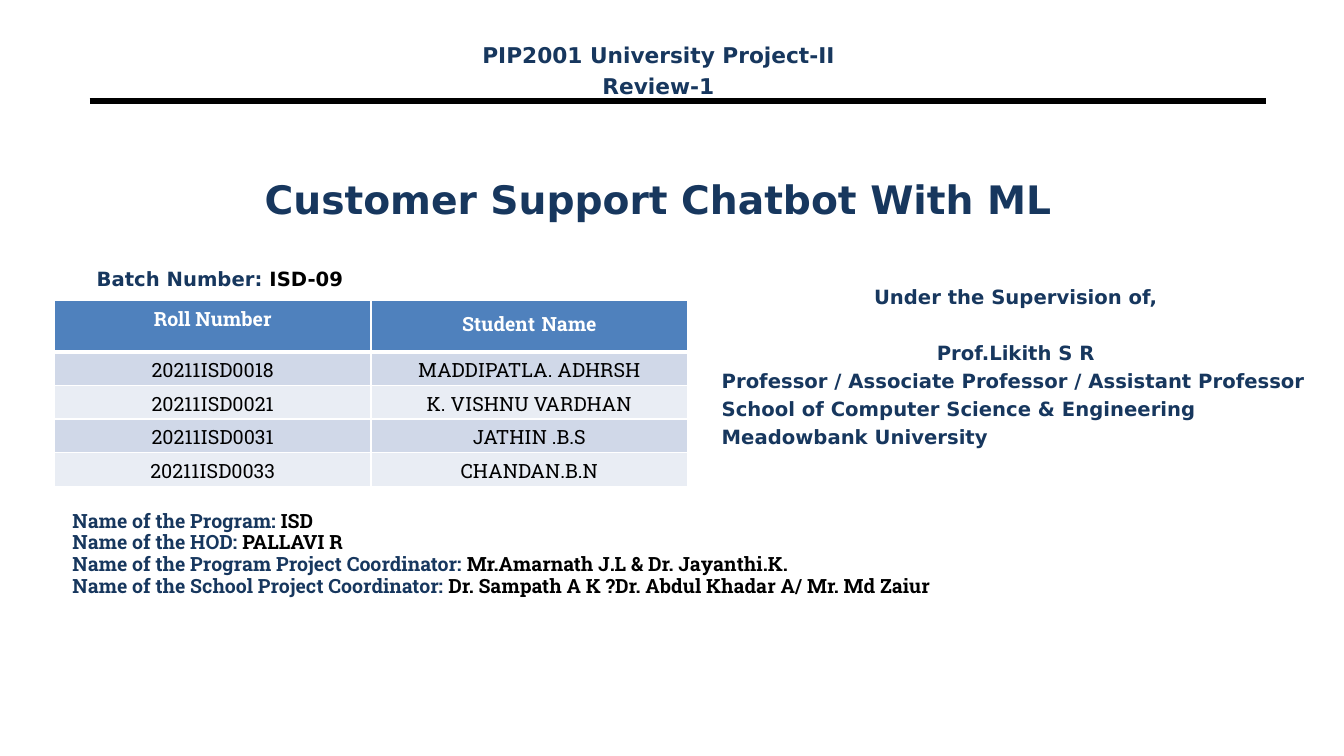
"""Build the opening slide of a university project review."""
from dataclasses import dataclass
from typing import Any

from lxml.etree import SubElement
from pptx import Presentation
from pptx.dml.color import RGBColor
from pptx.enum.shapes import MSO_CONNECTOR
from pptx.enum.text import MSO_ANCHOR, PP_ALIGN
from pptx.oxml import parse_xml
from pptx.oxml.ns import nsdecls, qn
from pptx.util import Inches, Pt


@dataclass(frozen=True)
class Theme:
    """Hold the colours, fonts and type sizes of the slide."""
    navy: str = "17375E"
    black: str = "000000"
    white: str = "FFFFFF"
    header_fill: str = "4F81BD"
    band_fills: tuple[str, str] = ("D0D8E8", "E9EDF4")
    sans: str = "DejaVu Sans"
    slab: str = "Roboto Slab"
    title_size: float = 28
    heading_size: float = 15.5
    body_size: float = 14
    header_gap_size: float = 18
    paragraph_gap: float = 3.3
    blank_line_gap: float = 22.9


THEME = Theme()


@dataclass(frozen=True)
class Span:
    """Describe one run of text."""
    text: str
    color: str = THEME.navy
    size: float = THEME.body_size
    font: str = THEME.sans
    bold: bool = True


@dataclass(frozen=True)
class Para:
    """Describe one paragraph."""
    spans: tuple[Span, ...]
    alignment: PP_ALIGN = PP_ALIGN.LEFT
    gap: float = 0
    line_spacing: float = 1.0


@dataclass(frozen=True)
class TextBlock:
    """Describe one text box, with lengths in inches."""
    left: float
    top: float
    width: float
    height: float
    paras: tuple[Para, ...]
    anchor: MSO_ANCHOR = MSO_ANCHOR.TOP


def labelled(label: str, value: str, font: str, line_spacing: float = 1.0) -> Para:
    """Return a paragraph with a navy label and a black value."""
    spans = (Span(label, font=font), Span(value, THEME.black, font=font))
    return Para(spans, line_spacing=line_spacing)


CENTER = PP_ALIGN.CENTER
GAP = THEME.paragraph_gap
PEOPLE = (
    ("Name of the Program: ", "ISD"),
    ("Name of the HOD: ", "PALLAVI R"),
    ("Name of the Program Project Coordinator: ", "Mr.Amarnath J.L & Dr. Jayanthi.K."),
    ("Name of the School Project Coordinator: ",
     "Dr. Sampath A K ?Dr. Abdul Khadar A/ Mr. Md Zaiur"),
)
BLOCKS = (
    TextBlock(0.86, 1.17, 11.33, 1.61, (
        Para((Span("Customer Support Chatbot With ML", size=THEME.title_size),), CENTER),
    ), MSO_ANCHOR.MIDDLE),
    TextBlock(0.86, 2.6, 4.34, 0.98, (labelled("Batch Number: ", "ISD-09", THEME.sans),)),
    TextBlock(7.06, 2.78, 6.03, 3.47, (
        Para((Span("Under the Supervision of,"),), CENTER),
        Para((Span("Prof.Likith S R"),), CENTER, THEME.blank_line_gap),
        Para((Span("Professor / Associate Professor / Assistant Professor"),), gap=GAP),
        Para((Span("School of Computer Science & Engineering"),), gap=GAP),
        Para((Span("Meadowbank University"),), gap=GAP),
    )),
    TextBlock(4.36, 0.37, 4.34, 0.6, (
        Para((Span("PIP2001 University Project-II", size=THEME.heading_size),), CENTER),
        Para((Span("Review-1", size=THEME.heading_size),), CENTER, GAP),
    )),
    TextBlock(0.62, 5.02, 10.91, 1.04, tuple(
        labelled(label, value, THEME.slab, 0.92) for label, value in PEOPLE
    )),
)
HEADERS = (("Roll Number",), ("Student", " ", "Name"))
STUDENTS = (
    ("20211ISD0018", "MADDIPATLA. ADHRSH"),
    ("20211ISD0021", "K. VISHNU VARDHAN"),
    ("20211ISD0031", "JATHIN .B.S"),
    ("20211ISD0033", "CHANDAN.B.N"),
)


def set_values(target: Any, values: dict[str, Any]) -> None:
    """Set each named attribute of the target."""
    for name, value in values.items():
        setattr(target, name, value)


def write_paras(frame: Any, paras: tuple[Para, ...]) -> None:
    """Write the paragraphs into a text frame."""
    for index, para in enumerate(paras):
        paragraph = frame.add_paragraph() if index else frame.paragraphs[0]
        set_values(paragraph, {
            "alignment": para.alignment,
            "space_before": Pt(para.gap),
            "line_spacing": para.line_spacing,
        })
        for span in para.spans:
            run = paragraph.add_run()
            run.text = span.text
            set_values(run.font, {"name": span.font, "size": Pt(span.size), "bold": span.bold})
            run.font.color.rgb = RGBColor.from_string(span.color)


def add_text(page: Any, block: TextBlock) -> None:
    """Add one text box to the page."""
    place = (block.left, block.top, block.width, block.height)
    box = page.shapes.add_textbox(*map(Inches, place))
    set_values(box.text_frame, {"word_wrap": True, "vertical_anchor": block.anchor})
    write_paras(box.text_frame, block.paras)


def add_rule(page: Any) -> None:
    """Add the heavy line below the heading."""
    ends = map(Inches, (0.89, 1, 12.56, 1))
    rule = page.shapes.add_connector(MSO_CONNECTOR.STRAIGHT, *ends)
    rule.line.width = Pt(4.5)
    rule.line.color.rgb = RGBColor.from_string(THEME.black)
    SubElement(rule.element.spPr, qn("a:effectLst"))


def style_cell(cell: Any, fill: str, bottom_width: float) -> None:
    """Fill a cell and give it white borders."""
    cell.fill.solid()
    cell.fill.fore_color.rgb = RGBColor.from_string(fill)
    widths = {"lnL": 1, "lnR": 1, "lnT": 1, "lnB": bottom_width}
    for index, (side, width) in enumerate(widths.items()):
        border = parse_xml(
            f'<a:{side} {nsdecls("a")} w="{Pt(width)}"><a:solidFill>'
            f'<a:srgbClr val="{THEME.white}"/></a:solidFill></a:{side}>'
        )
        cell.fill._xPr.insert(index, border)


def add_students(page: Any) -> None:
    """Add the table of students."""
    place = map(Inches, (0.54, 2.98, 6.28, 1.75))
    table = page.shapes.add_table(len(STUDENTS) + 1, len(HEADERS), *place).table
    set_values(table, {"first_row": False, "horz_banding": False})
    for index, row in enumerate(table.rows):
        row.height = Inches(0.31 if index else 0.51)
    for column, words in enumerate(HEADERS):
        spans = tuple(
            Span(word, THEME.white, THEME.body_size if word.strip() else THEME.header_gap_size,
                 THEME.slab)
            for word in words
        )
        cell = table.cell(0, column)
        write_paras(cell.text_frame, (Para(spans, CENTER),))
        style_cell(cell, THEME.header_fill, 3)
    for index, student in enumerate(STUDENTS):
        for column, value in enumerate(student):
            cell = table.cell(index + 1, column)
            span = Span(value, THEME.black, font=THEME.slab, bold=False)
            write_paras(cell.text_frame, (Para((span,), CENTER),))
            style_cell(cell, THEME.band_fills[index % 2], 1)


def main() -> None:
    """Build and save the deck."""
    deck = Presentation()
    set_values(deck, {"slide_width": Inches(13.33), "slide_height": Inches(7.5)})
    page = deck.slides.add_slide(deck.slide_layouts[6])
    add_rule(page)
    for block in BLOCKS:
        add_text(page, block)
    add_students(page)
    deck.save("out.pptx")


if __name__ == "__main__":
    main()
